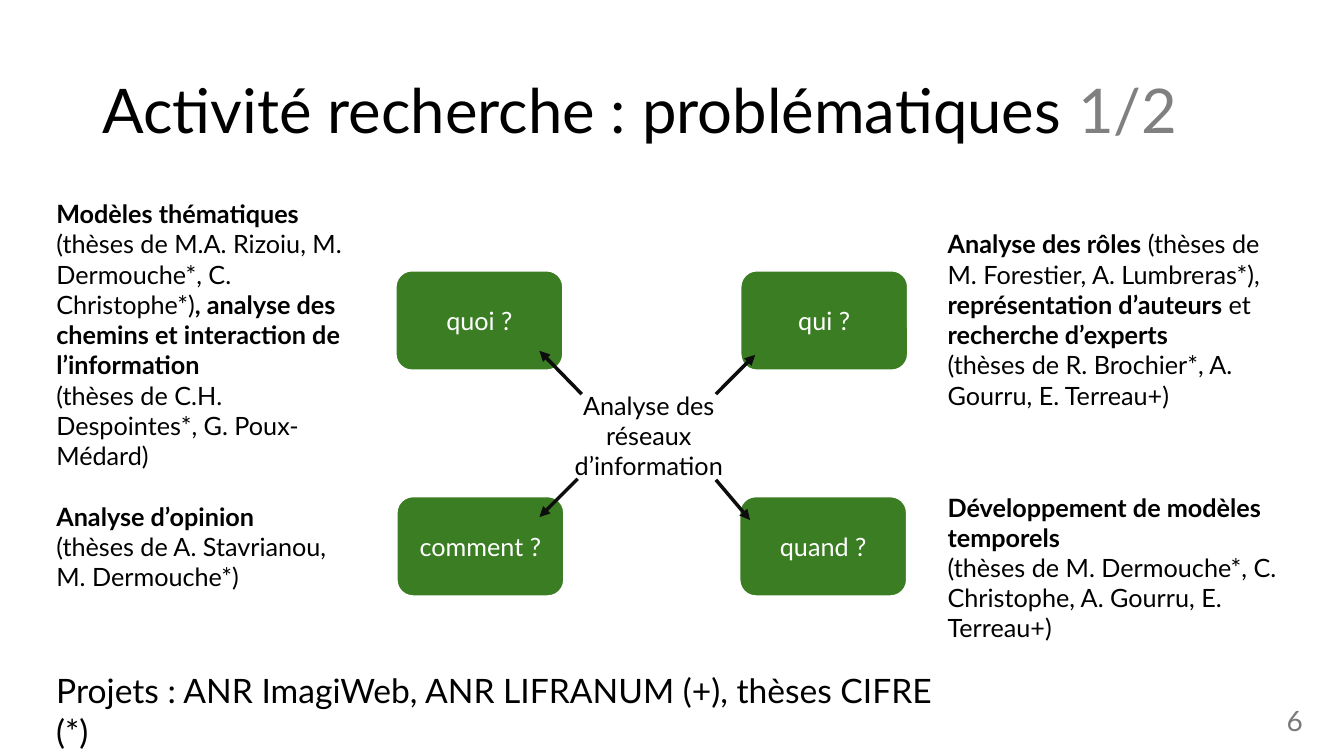
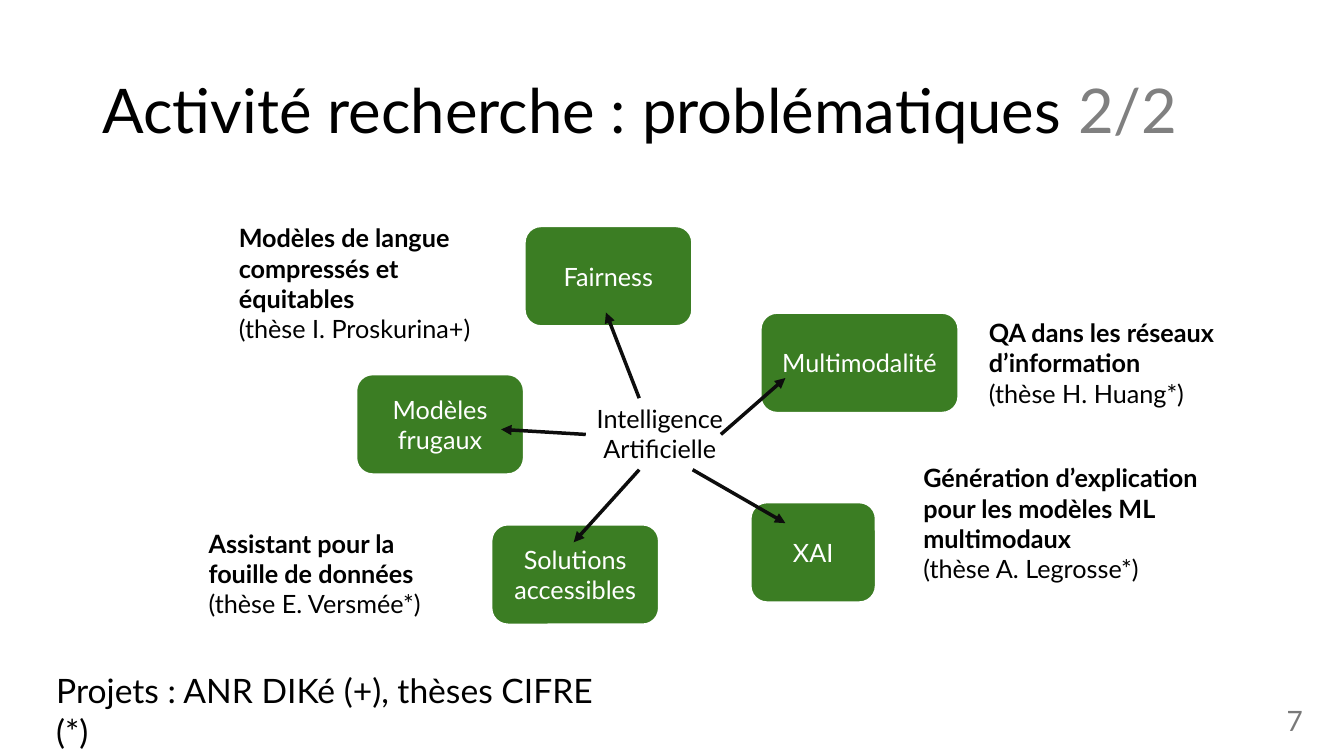
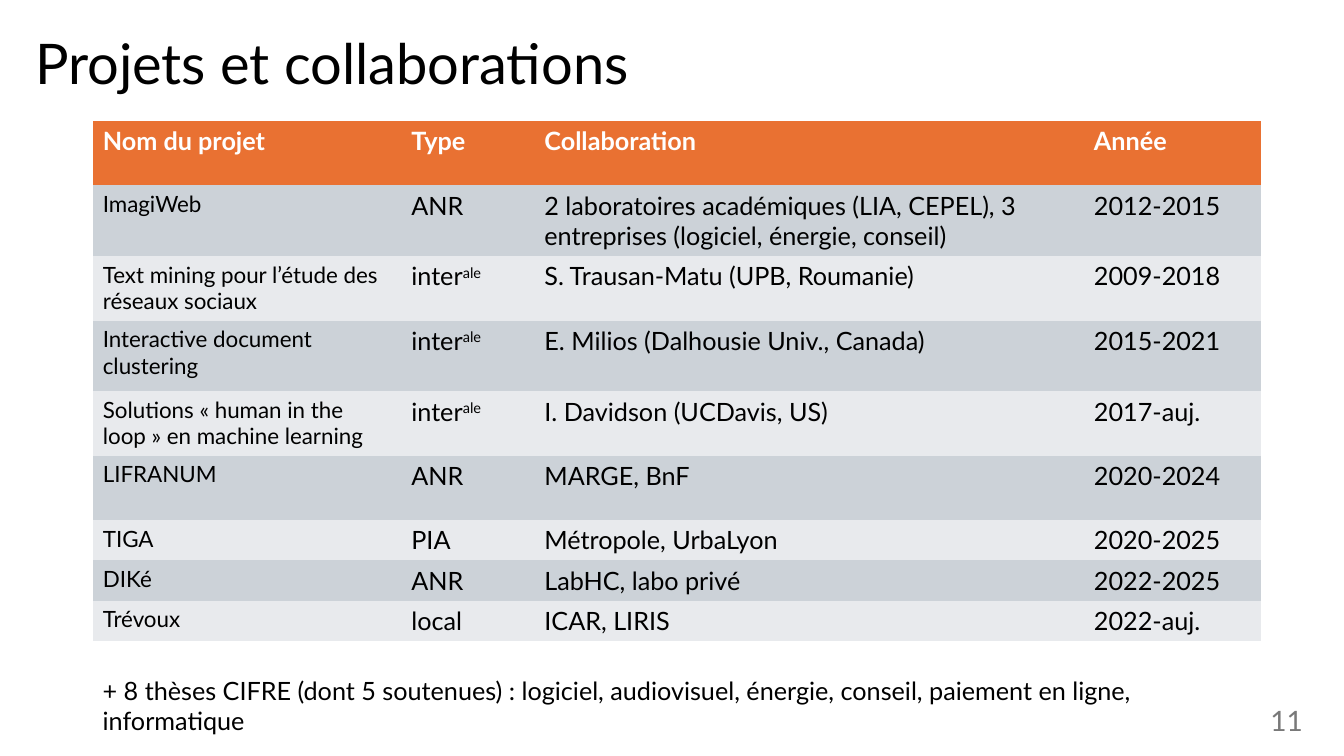
from lxml.etree import SubElement
from pptx import Presentation
from pptx.dml.color import RGBColor
from pptx.enum.shapes import MSO_CONNECTOR, MSO_SHAPE
from pptx.enum.text import MSO_ANCHOR, PP_ALIGN
from pptx.oxml.ns import qn
from pptx.util import Pt

EMU_PER_PX = 9144
FONT = "Lato"
BLACK, WHITE, ARROW = "000000", "FFFFFF", "0D0D0D"
GREEN, ORANGE = "3B7D23", "E97132"
GREY, NUMBER_GREY = "808080", "797979"
BANDS = ("CCD2D8", "E8EAED")
PLAIN_TABLE = "{2D5ABB26-0587-4C30-8999-92F81FD0307C}"


def px(*lengths):
    return [length * EMU_PER_PX for length in lengths]


def rgb(color):
    return RGBColor.from_string(color)


def write(frame, *paragraphs, size=18, color=BLACK, bold=False,
          align=PP_ALIGN.LEFT, anchor=MSO_ANCHOR.TOP, spacing=None, wrap=True):
    frame.word_wrap = wrap
    frame.vertical_anchor = anchor
    for index, content in enumerate(paragraphs):
        paragraph = frame.paragraphs[0] if index == 0 else frame.add_paragraph()
        paragraph.alignment = align
        if spacing:
            paragraph.line_spacing = spacing
        for words, change in [(content, {})] if isinstance(content, str) else content:
            run = paragraph.add_run()
            run.text = words.rstrip("\n")
            run.font.name = FONT
            run.font.size = Pt(size)
            run.font.bold = change.get("bold", bold)
            run.font.color.rgb = rgb(change.get("color", color))
            if "baseline" in change:
                run.font._element.set("baseline", change["baseline"])
            if words.endswith("\n"):
                paragraph.add_line_break()


class Deck:
    def __init__(self):
        self.presentation = Presentation()
        self.presentation.slide_width, self.presentation.slide_height = px(1333, 750)
        self.slide = None

    def page(self, number):
        self.slide = self.presentation.slides.add_slide(self.presentation.slide_layouts[6])
        self.text((1002, 695, 300, 40), str(number), size=20, color=NUMBER_GREY,
                  align=PP_ALIGN.RIGHT, anchor=MSO_ANCHOR.MIDDLE)

    def text(self, place, *paragraphs, **style):
        frame = self.slide.shapes.add_textbox(*px(*place)).text_frame
        write(frame, *paragraphs, **style)

    def title(self, *content, place=(92, 40, 1150, 145), size=44):
        self.text(place, *content, size=size, spacing=0.9, anchor=MSO_ANCHOR.MIDDLE)

    def problem_title(self, part):
        self.title([("Activité recherche : problématiques ", {}), (part, {"color": GREY})])

    def hub(self, place, *lines):
        self.text(place, *lines, align=PP_ALIGN.CENTER, wrap=False)

    def note(self, place, *pieces):
        self.text(place, [(piece, {"bold": index % 2 == 0})
                          for index, piece in enumerate(pieces)])

    def projects(self, width, words):
        self.text((46, 660, width, 50), words, size=24)

    def topic(self, left, top, width, *lines):
        box = self.slide.shapes.add_shape(
            MSO_SHAPE.ROUNDED_RECTANGLE, *px(left, top, width, 100))
        box.shadow.inherit = False
        box.fill.solid()
        box.fill.fore_color.rgb = rgb(GREEN)
        box.line.color.rgb = rgb(WHITE)
        box.line.width = Pt(2)
        write(box.text_frame, *lines, color=WHITE, align=PP_ALIGN.CENTER,
              anchor=MSO_ANCHOR.MIDDLE)

    def arrow(self, *ends):
        arrow = self.slide.shapes.add_connector(MSO_CONNECTOR.STRAIGHT, *px(*ends))
        arrow.line.color.rgb = rgb(ARROW)
        arrow.line.width = Pt(2.5)
        SubElement(arrow.line._get_or_add_ln(), qn("a:tailEnd"), type="triangle")
        SubElement(arrow._element.spPr, qn("a:effectLst"))

    def table(self, left, top, widths, heights, rows):
        grid = self.slide.shapes.add_table(
            len(rows), len(widths), *px(left, top, sum(widths), sum(heights))).table
        grid._tbl.tblPr.find(qn("a:tableStyleId")).text = PLAIN_TABLE
        for column, width in zip(grid.columns, px(*widths)):
            column.width = width
        for row, height in zip(grid.rows, px(*heights)):
            row.height = height
        for r, row in enumerate(rows):
            header = r == 0
            for c, content in enumerate(row):
                cell = grid.cell(r, c)
                cell.fill.solid()
                cell.fill.fore_color.rgb = rgb(ORANGE if header else BANDS[(r - 1) % 2])
                write(cell.text_frame, content, bold=header,
                      color=WHITE if header else BLACK,
                      size=16 if c == 0 and not header else 18)


def network_slide(deck):
    deck.page(6)
    deck.problem_title("1/2")
    deck.hub((560, 382, 167, 101), "Analyse des", "réseaux", "d’information")
    for left, top, question in (
        (734, 268, "qui ?"),
        (392, 268, "quoi ?"),
        (733, 492, "quand ?"),
        (393, 492, "comment ?"),
    ):
        deck.topic(left, top, 167, question)
    deck.note((930, 222, 362, 192), "Analyse des rôles",
              " (thèses de M. Forestier, A. Lumbreras*), ",
              "représentation d’auteurs", " et ", "recherche d’experts\n",
              "(thèses de R. Brochier*, A. Gourru, E. Terreau+)")
    deck.note((930, 483, 362, 162), "Développement de modèles temporels\n",
              "(thèses de M. Dermouche*, C. Christophe, A. Gourru, E. Terreau+)")
    deck.note((46, 492, 318, 101), "Analyse d’opinion\n",
              "(thèses de A. Stavrianou, M. Dermouche*)")
    deck.note((46, 192, 318, 283), "Modèles thématiques ",
              "(thèses de M.A. Rizoiu, M. Dermouche*, C. Christophe*)",
              ", analyse des chemins et interaction de l’information\n",
              "(thèses de C.H. Despointes*, G. Poux-Médard)")
    for ends in ((577, 391, 535, 348), (710, 476, 744, 516),
                 (710, 391, 749, 352), (573, 475, 535, 513)):
        deck.arrow(*ends)
    deck.projects(907, "Projets : ANR ImagiWeb, ANR LIFRANUM (+), thèses CIFRE (*)")


def intelligence_slide(deck):
    deck.page(7)
    deck.problem_title("2/2")
    deck.hub((581, 395, 147, 71), "Intelligence", "Artificielle")
    for left, top, width, *lines in (
        (353, 371, 167, "Modèles", "frugaux"),
        (754, 310, 197, "Multimodalité"),
        (744, 498, 125, "XAI"),
        (487, 520, 167, "Solutions accessibles"),
        (520, 224, 167, "Fairness"),
    ):
        deck.topic(left, top, width, *lines)
    for place, subject, thesis in (
        ((227, 216, 269, 131), "Modèles de langue compressés et équitables\n",
         "(thèse I. Proskurina+)"),
        ((197, 519, 269, 101), "Assistant pour la fouille de données ",
         "(thèse E. Versmée*)"),
        ((971, 310, 269, 101), "QA dans les réseaux d’information\n",
         "(thèse H. Huang*)"),
        ((906, 454, 316, 131), "Génération d’explication pour les modèles ML multimodaux\n",
         "(thèse A. Legrosse*)"),
    ):
        deck.note(place, subject, thesis)
    for ends in ((634, 395, 601, 310), (581, 431, 497, 426), (634, 466, 569, 538),
                 (687, 466, 779, 519), (715, 431, 779, 375)):
        deck.arrow(*ends)
    deck.projects(587, "Projets : ANR DIKé (+), thèses CIFRE (*)")


def collaborations_slide(deck):
    deck.page(11)
    deck.title("Projets et collaborations", place=(25, -7, 1150, 145), size=40)
    international = [("inter", {}), ("ale", {"baseline": "30000"})]
    deck.table(92, 120, (306, 132, 545, 176), (64, 70, 64, 70, 64, 64, 40, 40, 40), (
        ("Nom du projet", "Type", "Collaboration", "Année"),
        ("ImagiWeb", "ANR",
         "2 laboratoires académiques (LIA, CEPEL), 3 entreprises (logiciel, énergie, conseil)",
         "2012-2015"),
        ("Text mining pour l’étude des réseaux sociaux", international,
         "S. Trausan-Matu (UPB, Roumanie)", "2009-2018"),
        ("Interactive document clustering", international,
         "E. Milios (Dalhousie Univ., Canada)", "2015-2021"),
        ("Solutions « human in the loop » en machine learning", international,
         "I. Davidson (UCDavis, US)", "2017-auj."),
        ("LIFRANUM", "ANR", "MARGE, BnF", "2020-2024"),
        ("TIGA", "PIA", "Métropole, UrbaLyon", "2020-2025"),
        ("DIKé", "ANR", "LabHC, labo privé", "2022-2025"),
        ("Trévoux", "local", "ICAR, LIRIS", "2022-auj."),
    ))
    deck.text((92, 665, 1055, 40),
              "+ 8 thèses CIFRE (dont 5 soutenues) : logiciel, audiovisuel, énergie, conseil, "
              "paiement en ligne, informatique")


def main():
    deck = Deck()
    network_slide(deck)
    intelligence_slide(deck)
    collaborations_slide(deck)
    deck.presentation.save("out.pptx")


if __name__ == "__main__":
    main()
